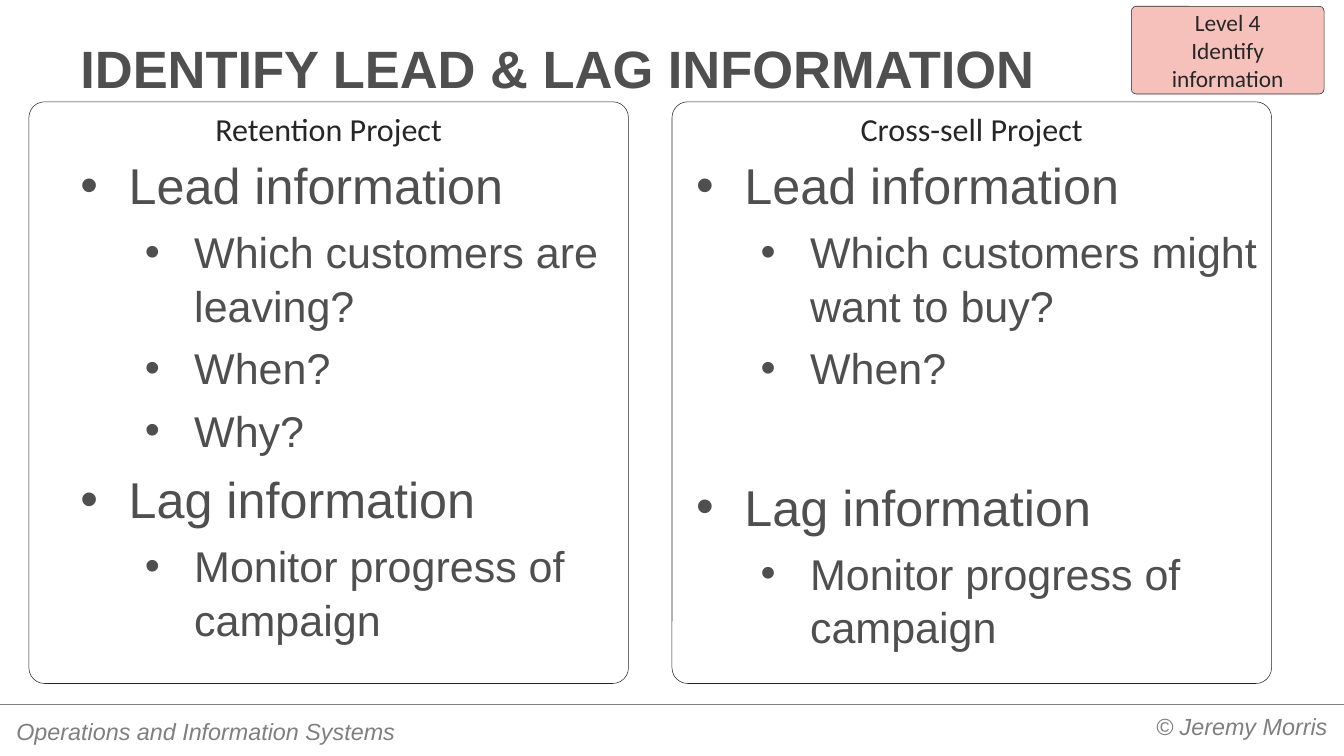
"""Build the slide on lead and lag information."""
import dataclasses
import typing

import lxml.etree
import pptx
import pptx.dml.color
import pptx.enum.shapes
import pptx.enum.text
import pptx.oxml.ns
import pptx.util

RGB = pptx.dml.color.RGBColor
INK = RGB(0x26, 0x26, 0x26)
SLATE = RGB(0x4F, 0x4F, 0x4F)
GREY = RGB(0x7F, 0x7F, 0x7F)
RULE = RGB(0x80, 0x80, 0x80)
PINK = RGB(0xF7, 0xC1, 0xBB)
ALIGN = pptx.enum.text.PP_ALIGN
ANCHOR = pptx.enum.text.MSO_ANCHOR
WIDE = pptx.util.Inches(25.6)
HIGH = pptx.util.Inches(14.4)


@dataclasses.dataclass(frozen=True)
class Area:
    """A frame in percent of the slide's width and height."""
    left: float
    top: float
    width: float
    height: float

    def emu(self) -> tuple[int, int, int, int]:
        """Give the frame in slide units."""
        return (int(WIDE * self.left / 100), int(HIGH * self.top / 100),
                int(WIDE * self.width / 100), int(HIGH * self.height / 100))


@dataclasses.dataclass(frozen=True)
class Level:
    """The format of one bullet level."""
    size: float
    margin: float
    hang: float
    before: float


@dataclasses.dataclass(frozen=True)
class Point:
    """One bullet, with extra space above it."""
    text: str
    level: int = 0
    gap: float = 0


@dataclasses.dataclass(frozen=True)
class Panel:
    """A framed project and its bullets."""
    name: str
    left: float
    inner: float
    points: tuple[Point, ...]


@dataclasses.dataclass(frozen=True)
class Note:
    """A line of text at the foot of the slide."""
    text: str
    area: Area
    align: ALIGN


LEVELS = (Level(69, 0.92, 0.92, 14), Level(59, 2.17, 0.94, 12))
LEAD = Point("Lead information")
WHEN = Point("When?", 1)
TRACK = Point("Monitor progress of campaign", 1)
PANELS = (
    Panel("Retention Project", 2.15, 5, (
        LEAD, Point("Which customers are leaving?", 1), WHEN,
        Point("Why?", 1), Point("Lag information"), TRACK)),
    Panel("Cross-sell Project", 50, 50.82, (
        LEAD, Point("Which customers might want to buy?", 1), WHEN,
        Point("Lag information", gap=96), TRACK)),
)
NOTES = (
    Note("© Jeremy Morris", Area(56.95, 93.61, 42.54, 8.75), ALIGN.RIGHT),
    Note("Operations and Information Systems",
         Area(0.51, 94.17, 34.18, 5), ALIGN.LEFT),
)


def write(para: typing.Any, text: str, *, size: float, color: RGB = SLATE,
          face: str = "Arial", bold: bool = False, italic: bool = False,
          align: ALIGN = ALIGN.LEFT) -> None:
    """Add formatted text to a paragraph."""
    para.alignment = align
    run = para.add_run()
    run.text = text
    font = run.font
    font.name, font.size = face, pptx.util.Pt(size)
    font.bold, font.italic = bold, italic
    font.color.rgb = color


def fit(frame: typing.Any, side: float, edge: float, anchor: ANCHOR) -> None:
    """Set the wrapping, insets and anchor of a text frame."""
    frame.word_wrap = True
    frame.auto_size = pptx.enum.text.MSO_AUTO_SIZE.NONE
    frame.margin_left = frame.margin_right = pptx.util.Inches(side)
    frame.margin_top = frame.margin_bottom = pptx.util.Inches(edge)
    frame.vertical_anchor = anchor


def card(slide: typing.Any, area: Area, lines: tuple[str, ...], size: float,
         curve: float, anchor: ANCHOR, fill: RGB | None = None) -> None:
    """Draw a rounded frame with centred lines of text."""
    kind = pptx.enum.shapes.MSO_SHAPE.ROUNDED_RECTANGLE
    shape = slide.shapes.add_shape(kind, *area.emu())
    shape.shadow.inherit = False
    shape.adjustments[0] = curve
    if fill is None:
        shape.fill.background()
    else:
        shape.fill.solid()
        shape.fill.fore_color.rgb = fill
    shape.line.color.rgb = INK
    shape.line.width = pptx.util.Pt(0.75)
    frame = shape.text_frame
    fit(frame, 0.1, 0.05, anchor)
    for index, line in enumerate(lines):
        para = frame.add_paragraph() if index else frame.paragraphs[0]
        write(para, line, size=size, color=INK, face="Calibri",
              align=ALIGN.CENTER)


def bullet(para: typing.Any, level: Level) -> None:
    """Give a paragraph its bullet and hanging indent."""
    props = para._p.get_or_add_pPr()
    props.set("marL", str(pptx.util.Inches(level.margin)))
    props.set("indent", str(-pptx.util.Inches(level.hang)))
    qn = pptx.oxml.ns.qn
    lxml.etree.SubElement(props, qn("a:buFont"), typeface="Arial")
    lxml.etree.SubElement(props, qn("a:buChar"), char="•")


def outline(slide: typing.Any, panel: Panel) -> None:
    """Write the bullets of a panel."""
    area = Area(panel.inner, 19.31, 44.18, 66.88)
    frame = slide.shapes.add_textbox(*area.emu()).text_frame
    fit(frame, 0.25, 0.12, ANCHOR.TOP)
    for index, point in enumerate(panel.points):
        para = frame.add_paragraph() if index else frame.paragraphs[0]
        level = LEVELS[point.level]
        bullet(para, level)
        para.level = point.level
        para.line_spacing = 1.04
        para.space_before = pptx.util.Pt(
            level.before + point.gap if index else 0)
        write(para, point.text, size=level.size)


def foot(slide: typing.Any) -> None:
    """Draw the rule and the notes below it."""
    kind = pptx.enum.shapes.MSO_CONNECTOR.STRAIGHT
    level = int(HIGH * 0.9313)
    rule = slide.shapes.add_connector(kind, 0, level, WIDE, level)
    rule.line.color.rgb = RULE
    rule.line.width = pptx.util.Pt(0.75)
    lxml.etree.SubElement(rule._element.spPr, pptx.oxml.ns.qn("a:effectLst"))
    for note in NOTES:
        frame = slide.shapes.add_textbox(*note.area.emu()).text_frame
        fit(frame, 0.18, 0.09, ANCHOR.TOP)
        write(frame.paragraphs[0], note.text, size=32, color=GREY,
              italic=True, align=note.align)


def head(slide: typing.Any) -> None:
    """Place and write the title."""
    title = slide.shapes.title
    title.left, title.top, title.width, title.height = Area(
        5, 3.54, 90, 10.35).emu()
    fit(title.text_frame, 0.25, 0.12, ANCHOR.BOTTOM)
    write(title.text_frame.paragraphs[0], "IDENTIFY LEAD & LAG INFORMATION",
          size=72, bold=True)


def main() -> None:
    """Build and save the deck."""
    deck = pptx.Presentation()
    deck.slide_width, deck.slide_height = WIDE, HIGH
    slide = deck.slides.add_slide(deck.slide_layouts[5])
    foot(slide)
    head(slide)
    for panel in PANELS:
        card(slide, Area(panel.left, 13.47, 44.61, 76.94), (panel.name,),
             44, 0.027, ANCHOR.TOP)
        outline(slide, panel)
    card(slide, Area(84.18, 0.83, 14.34, 11.6),
         ("Level 4", "Identify information"), 32, 0.056, ANCHOR.MIDDLE, PINK)
    deck.save("out.pptx")


if __name__ == "__main__":
    main()
